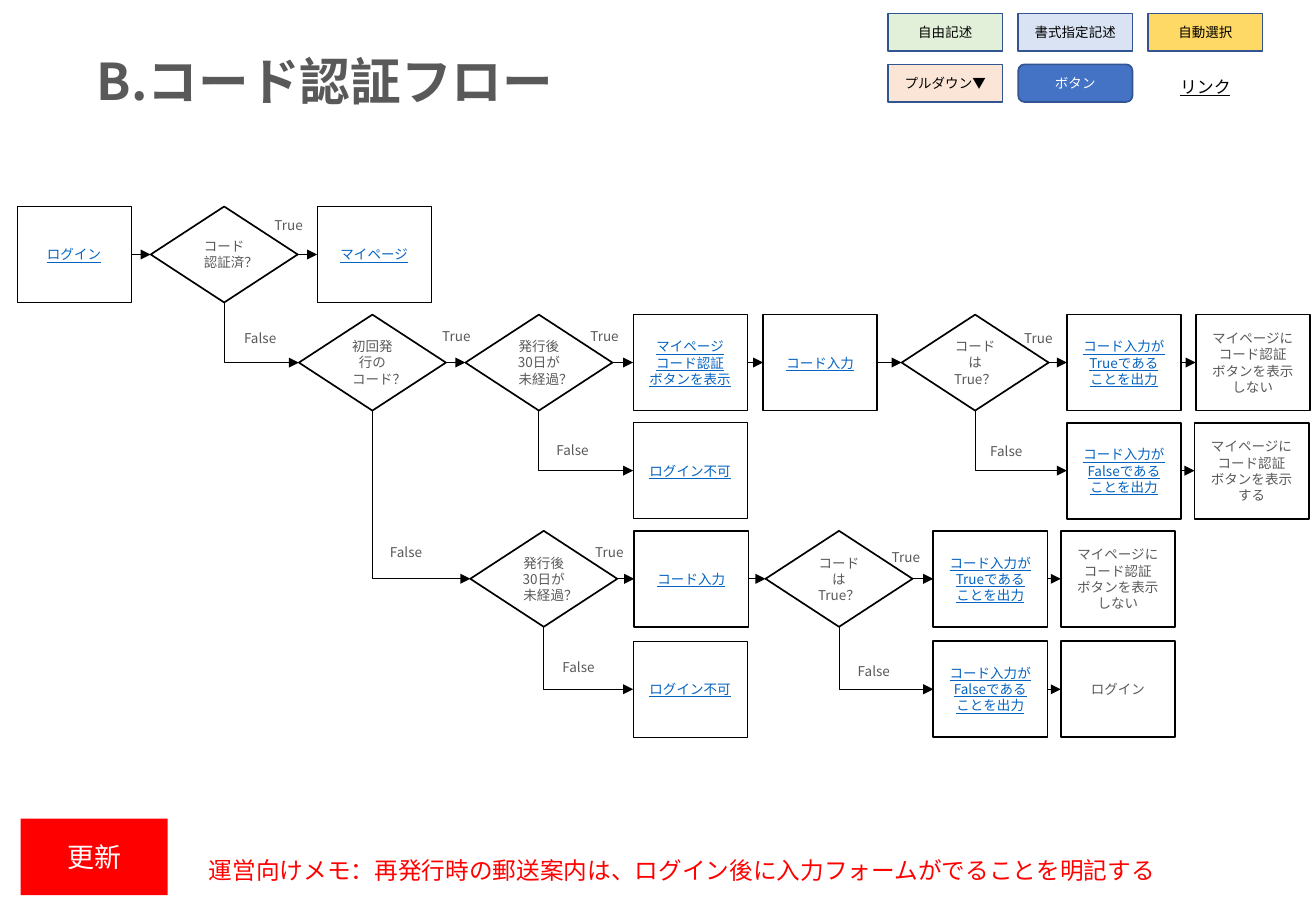
from lxml.etree import SubElement
from pptx import Presentation
from pptx.dml.color import RGBColor
from pptx.enum.shapes import MSO_CONNECTOR as CONNECTOR, MSO_SHAPE as SHAPE
from pptx.enum.text import MSO_ANCHOR as ANCHOR, PP_ALIGN as ALIGN
from pptx.oxml.ns import qn
from pptx.util import Inches, Pt

FONT = "Noto Sans CJK JP"
BLACK = RGBColor(0x00, 0x00, 0x00)
WHITE = RGBColor(0xFF, 0xFF, 0xFF)
GRAY = RGBColor(0x59, 0x59, 0x59)
LINK = RGBColor(0x05, 0x63, 0xC1)
RED = RGBColor(0xFF, 0x00, 0x00)
BORDER = RGBColor(0x32, 0x54, 0x91)
GREEN = RGBColor(0xE2, 0xF0, 0xD9)
PALE_BLUE = RGBColor(0xDA, 0xE3, 0xF3)
YELLOW = RGBColor(0xFF, 0xD9, 0x66)
PEACH = RGBColor(0xFB, 0xE5, 0xD6)
BLUE = RGBColor(0x44, 0x72, 0xC4)

LEGEND = [
    [("自由記述", GREEN), ("書式指定記述", PALE_BLUE), ("自動選択", YELLOW)],
    [("プルダウン▼", PEACH), ("ボタン", BLUE), ("リンク", None)],
]

PAGE, STEP, DECISION = "page", "step", "decision"
NODE_STYLES = {
    PAGE: (SHAPE.RECTANGLE, 0.94, 0.5),
    STEP: (SHAPE.FLOWCHART_PROCESS, 0.94, 1),
    DECISION: (SHAPE.FLOWCHART_DECISION, 1.21, 1),
}
NODE_HEIGHT = 0.79
ROWS = (0, 0.89, 1.78, 2.67, 3.58)

EXPIRY = "発行後30日が未経過？"
CODE_CHECK = "コードはTrue？"
OUTPUT_TRUE = "コード入力が\nTrueである\nことを出力"
OUTPUT_FALSE = "コード入力が\nFalseである\nことを出力"
HIDE_BUTTON = "マイページに\nコード認証\nボタンを表示しない"
SHOW_BUTTON = "マイページに\nコード認証\nボタンを表示する"

NODES = {
    "login": (PAGE, 0, 0, "ログイン", LINK),
    "verified": (DECISION, 1.1, 0, "コード\n認証済？", GRAY),
    "my page": (PAGE, 2.47, 0, "マイページ", LINK),
    "first code": (DECISION, 2.32, 1, "初回発行のコード？", GRAY),
    "first expiry": (DECISION, 3.69, 1, EXPIRY, GRAY),
    "code button": (PAGE, 5.07, 1, "マイページ\nコード認証\nボタンを表示", LINK),
    "first denied": (PAGE, 5.07, 2, "ログイン不可", LINK),
    "first input": (STEP, 6.14, 1, "コード入力", LINK),
    "first check": (DECISION, 7.28, 1, CODE_CHECK, GRAY),
    "first true": (STEP, 8.64, 1, OUTPUT_TRUE, LINK),
    "first false": (STEP, 8.64, 2, OUTPUT_FALSE, LINK),
    "first hide": (STEP, 9.7, 1, HIDE_BUTTON, GRAY),
    "first show": (STEP, 9.69, 2, SHOW_BUTTON, GRAY),
    "reissue expiry": (DECISION, 3.73, 3, EXPIRY, GRAY),
    "reissue denied": (PAGE, 5.07, 4, "ログイン不可", LINK),
    "reissue input": (STEP, 5.08, 3, "コード入力", LINK),
    "reissue check": (DECISION, 6.16, 3, CODE_CHECK, GRAY),
    "reissue true": (STEP, 7.54, 3, OUTPUT_TRUE, LINK),
    "reissue false": (STEP, 7.54, 4, OUTPUT_FALSE, LINK),
    "reissue hide": (STEP, 8.59, 3, HIDE_BUTTON, GRAY),
    "reissue login": (STEP, 8.59, 4, "ログイン", GRAY),
}

PLAIN_ARROWS = [
    ("login", "verified"),
    ("code button", "first input"),
    ("first input", "first check"),
    ("first true", "first hide"),
    ("first false", "first show"),
    ("reissue input", "reissue check"),
    ("reissue true", "reissue hide"),
    ("reissue false", "reissue login"),
]

BRANCHES = [
    ("verified", "my page", (0.92, 0.04), "first code", (0.67, 0.97)),
    ("first code", "first expiry", (1.08, 0.06), "reissue expiry", (0.65, 1.84)),
    ("first expiry", "code button", (0.93, 0.06), "first denied", (0.65, 1)),
    ("first check", "first true", (0.91, 0.08), "first false", (0.63, 1.01)),
    ("reissue expiry", "reissue input", (0.93, 0.06), "reissue denied", (0.66, 1.01)),
    ("reissue check", "reissue true", (0.94, 0.1), "reissue false", (0.66, 1.04)),
]


def write(shape, text, size, color, align=ALIGN.LEFT, bold=None, underline=None):
    frame = shape.text_frame
    frame.word_wrap = True
    frame.text = text
    for paragraph in frame.paragraphs:
        paragraph.alignment = align
        font = paragraph.font
        font.name, font.size, font.color.rgb = FONT, Pt(size), color
        font.bold, font.underline = bold, underline
        properties = paragraph._p.pPr.find(qn("a:defRPr"))
        SubElement(properties, qn("a:ea")).set("typeface", FONT)


def add_text(slide, box, text, size, color, **style):
    shape = slide.shapes.add_textbox(*map(Inches, box))
    write(shape, text, size, color, **style)
    return shape


def add_box(slide, kind, box, text, size, color, fill=None, line=None, width=1, underline=None):
    shape = slide.shapes.add_shape(kind, *map(Inches, box))
    shape.shadow.inherit = False
    if fill is None:
        shape.fill.background()
    else:
        shape.fill.solid()
        shape.fill.fore_color.rgb = fill
    if line is None:
        shape.line.fill.background()
    else:
        shape.line.color.rgb = line
        shape.line.width = Pt(width)
    shape.text_frame.vertical_anchor = ANCHOR.MIDDLE
    write(shape, text, size, color, align=ALIGN.CENTER, underline=underline)
    return shape


def add_arrow(slide, start, end, bent=False):
    kind = CONNECTOR.ELBOW if bent else CONNECTOR.STRAIGHT
    arrow = slide.shapes.add_connector(kind, 0, 0, 0, 0)
    arrow.begin_connect(start, 2 if bent else 3)
    arrow.end_connect(end, 1)
    properties = arrow._element.spPr
    if bent:
        across, down = arrow.width, arrow.height
        arrow.left += (across - down) // 2
        arrow.top += (down - across) // 2
        arrow.width, arrow.height = down, across
        transform = properties.find(qn("a:xfrm"))
        transform.set("rot", "16200000")
        transform.set("flipH", "1")
        properties.find(qn("a:prstGeom")).set("prst", "bentConnector2")
    arrow.line.color.rgb = BLACK
    arrow.line.width = Pt(0.5)
    SubElement(properties.find(qn("a:ln")), qn("a:tailEnd")).set("type", "triangle")
    SubElement(properties, qn("a:effectLst"))


def draw_legend(slide, left, top):
    for row, entries in enumerate(LEGEND):
        for column, (text, fill) in enumerate(entries):
            x, y = left + column * 1.07, top + row * 0.42
            if fill is None:
                add_text(slide, (x, y + 0.05, 0.94, 0.27), text, 10, BLACK,
                         align=ALIGN.CENTER, underline=True)
                continue
            is_button = fill == BLUE
            kind = SHAPE.ROUNDED_RECTANGLE if is_button else SHAPE.RECTANGLE
            color = WHITE if is_button else BLACK
            add_box(slide, kind, (x, y, 0.94, 0.31), text, 8, color, fill, BORDER)


def draw_flow(slide, left, top):
    shapes = {}
    for name, (style, x, row, text, color) in NODES.items():
        kind, width, line_width = NODE_STYLES[style]
        box = (left + x, top + ROWS[row], width, NODE_HEIGHT)
        shapes[name] = add_box(slide, kind, box, text, 8, color, line=BLACK,
                               width=line_width, underline=color == LINK or None)
    for start, end in PLAIN_ARROWS:
        add_arrow(slide, shapes[start], shapes[end])
    for name, true_end, true_offset, false_end, false_offset in BRANCHES:
        add_arrow(slide, shapes[name], shapes[true_end])
        add_arrow(slide, shapes[name], shapes[false_end], bent=True)
        x, row = NODES[name][1:3]
        for text, (dx, dy) in (("True", true_offset), ("False", false_offset)):
            box = (left + x + dx, top + ROWS[row] + dy, 0.89, 0.24)
            add_text(slide, box, text, 8, GRAY)


def draw_update_note(slide, left, top):
    add_box(slide, SHAPE.RECTANGLE, (left, top, 1.21, 0.63), "更新", 16, WHITE, RED)
    memo = slide.shapes.add_textbox(*map(Inches, (left + 1.45, top + 0.26, 9.32, 0.34)))
    properties = memo.text_frame.paragraphs[0]._p.get_or_add_pPr()
    properties.set("marL", str(Inches(0.31)))
    properties.set("indent", str(-Inches(0.31)))
    SubElement(properties, qn("a:buFont")).set("typeface", "Arial")
    SubElement(properties, qn("a:buChar")).set("char", "•")
    write(memo, "運営向けメモ：再発行時の郵送案内は、ログイン後に入力フォームがでることを明記する", 14, RED)


def main():
    presentation = Presentation()
    presentation.slide_width = Inches(10.83)
    presentation.slide_height = Inches(7.5)
    slide = presentation.slides.add_slide(presentation.slide_layouts[6])
    add_text(slide, (0.7, 0.36, 6.5, 0.61), "B.コード認証フロー", 30, GRAY, bold=True)
    draw_legend(slide, 7.31, 0.11)
    draw_flow(slide, 0.14, 1.7)
    draw_update_note(slide, 0.17, 6.74)
    presentation.save("out.pptx")


if __name__ == "__main__":
    main()
